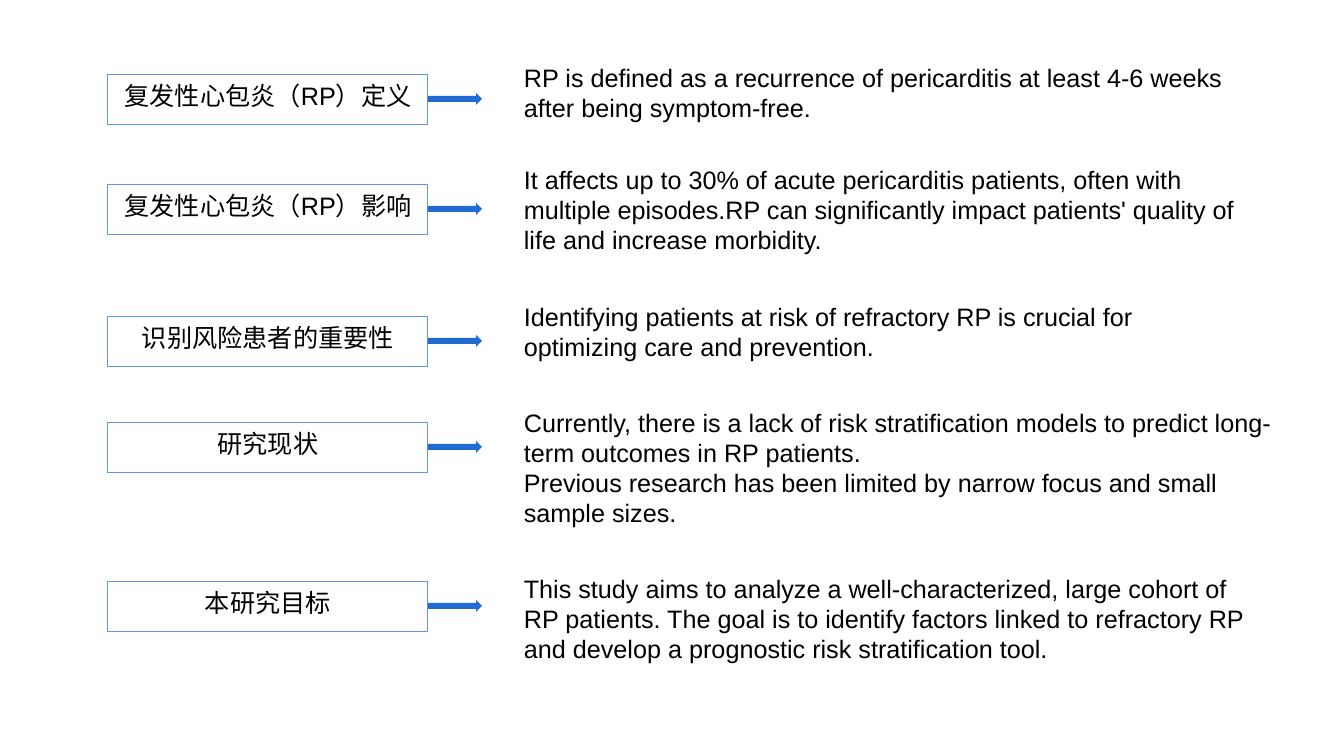
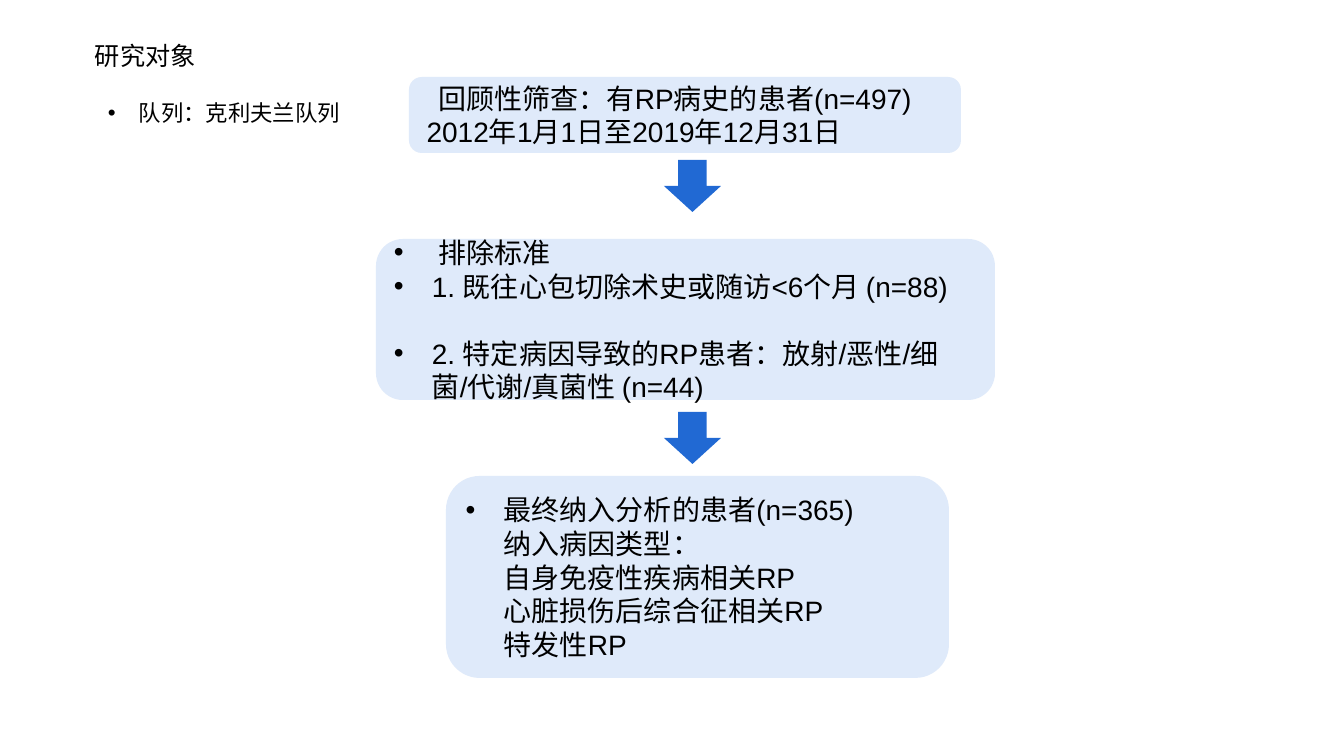
from dataclasses import dataclass

from lxml import etree
from pptx import Presentation
from pptx import util as u
from pptx.dml.color import RGBColor
from pptx.enum import shapes, text
from pptx.oxml.ns import qn

EMU_PER_PX = 914400 / 100.8


@dataclass(frozen=True)
class Theme:
    """Colours, font and type sizes shared by the slides."""
    ink: str = "000000"
    blue: str = "2169D3"
    outline: str = "6096E6"
    pale: str = "DFEAFA"
    font: str = "Arial"
    small: int = 16
    body: int = 18
    large: int = 20


THEME = Theme()

TOPICS = [
    (75, "复发性心包炎（RP）定义", 57, 739,
     ["RP is defined as a recurrence of pericarditis at least 4-6 weeks after being symptom-free."]),
    (185, "复发性心包炎（RP）影响", 159, 739,
     ["It affects up to 30% of acute pericarditis patients, often with multiple episodes."
      "RP can significantly impact patients' quality of life and increase morbidity."]),
    (317, "识别风险患者的重要性", 296, 739,
     ["Identifying patients at risk of refractory RP is crucial for optimizing care and prevention."]),
    (423, "研究现状", 402, 774,
     ["Currently, there is a lack of risk stratification models to predict long-term outcomes in RP patients.",
      "Previous research has been limited by narrow focus and small sample sizes."]),
    (582, "本研究目标", 568, 754,
     ["This study aims to analyze a well-characterized, large cohort of RP patients. "
      "The goal is to identify factors linked to refractory RP and develop a prognostic "
      "risk stratification tool."]),
]


def px(length):
    """Turn pixels into EMU."""
    return u.Emu(round(length * EMU_PER_PX))


def write(shape, lines, size, align=text.PP_ALIGN.LEFT, anchor=text.MSO_ANCHOR.TOP):
    """Fill a shape with one styled paragraph per line and return the paragraphs."""
    frame = shape.text_frame
    frame.word_wrap = True
    frame.vertical_anchor = anchor
    for index, line in enumerate(lines):
        paragraph = frame.add_paragraph() if index else frame.paragraphs[0]
        paragraph.text = line
        paragraph.alignment = align
        paragraph.font.size = u.Pt(size)
        paragraph.font.name = THEME.font
        paragraph.font.color.rgb = RGBColor.from_string(THEME.ink)
    return frame.paragraphs


def indent(paragraph, margin, bullet=False):
    """Indent a paragraph, with a hanging bullet if wanted."""
    properties = paragraph._p.get_or_add_pPr()
    properties.set("marL", str(px(margin)))
    if bullet:
        properties.set("indent", str(px(-margin)))
        font = etree.Element(qn("a:buFont"), typeface=THEME.font)
        mark = etree.Element(qn("a:buChar"), char="•")
        properties.insert(0, font)
        font.addnext(mark)


def add_text(slide, box, lines, size):
    """Add a text box and return its paragraphs."""
    return write(slide.shapes.add_textbox(*map(px, box)), lines, size)


def add_block(slide, kind, box, fill=None, line=None):
    """Add a flat preset shape."""
    shape = slide.shapes.add_shape(kind, *map(px, box))
    shape.shadow.inherit = False
    if fill:
        shape.fill.solid()
        shape.fill.fore_color.rgb = RGBColor.from_string(fill)
    else:
        shape.fill.background()
    if line:
        shape.line.color.rgb = RGBColor.from_string(line)
        shape.line.width = u.Pt(0.75)
    else:
        shape.line.fill.background()
    return shape


def add_topic(slide, label_top, label, text_top, text_width, lines):
    """Add a framed label with an arrow to its explanation."""
    frame = add_block(slide, shapes.MSO_SHAPE.RECTANGLE, (108, label_top, 320, 50), line=THEME.outline)
    write(frame, [label], THEME.body, text.PP_ALIGN.CENTER)
    add_block(slide, shapes.MSO_SHAPE.RIGHT_ARROW, (428, label_top + 18, 54, 12), THEME.blue)
    add_text(slide, (514, text_top, text_width, 30 * len(lines) + 41), lines, THEME.body)


def add_step(slide, box, lines):
    """Add a pale rounded flow step and return its paragraphs."""
    step = add_block(slide, shapes.MSO_SHAPE.ROUNDED_RECTANGLE, box, THEME.pale)
    return write(step, lines, THEME.large, anchor=text.MSO_ANCHOR.MIDDLE)


def build_background(slide):
    """Build the slide of topics and explanations."""
    for topic in TOPICS:
        add_topic(slide, *topic)


def build_cohort(slide):
    """Build the patient selection flow."""
    add_text(slide, (85, 35, 448, 40), ["研究对象"], THEME.body)
    cohort = add_text(slide, (98, 94, 264, 37), ["队列：克利夫兰队列"], THEME.small)
    indent(cohort[0], 31, bullet=True)

    screening = add_step(slide, (409, 77, 552, 76),
                         ["回顾性筛查：有RP病史的患者(n=497)", "2012年1月1日至2019年12月31日"])
    for paragraph, margin in zip(screening, (16, 4)):
        indent(paragraph, margin)

    exclusion = add_step(slide, (376, 239, 619, 161),
                         [" 排除标准", "1. 既往心包切除术史或随访<6个月 (n=88)",
                          "2. 特定病因导致的RP患者：放射/恶性/细菌/代谢/真菌性 (n=44)"])
    exclusion[-1].space_before = u.Pt(24)

    included = add_step(slide, (446, 476, 503, 202),
                        ["最终纳入分析的患者(n=365)\v纳入病因类型：\v自身免疫性疾病相关RP\v"
                         "心脏损伤后综合征相关RP\v特发性RP"])
    for paragraph in (*exclusion, *included):
        indent(paragraph, 38, bullet=True)

    for top in (160, 412):
        add_block(slide, shapes.MSO_SHAPE.DOWN_ARROW, (664, top, 57, 52), THEME.blue)


def main():
    """Build and save the presentation."""
    presentation = Presentation()
    presentation.slide_width, presentation.slide_height = px(1344), px(756)
    for build in (build_background, build_cohort):
        build(presentation.slides.add_slide(presentation.slide_layouts[6]))
    presentation.save("out.pptx")


if __name__ == "__main__":
    main()
